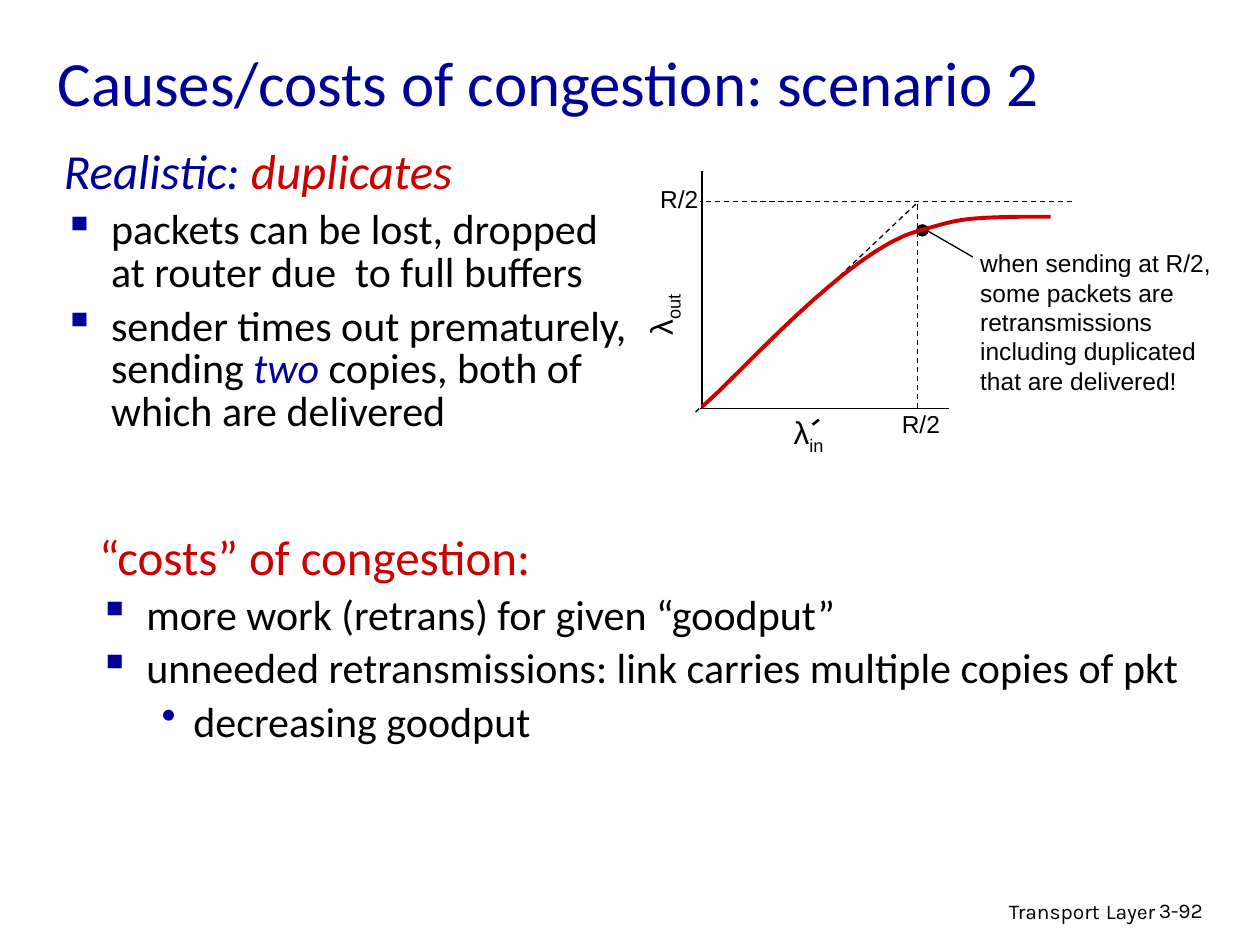
from dataclasses import dataclass
from typing import Any

import pptx
import pptx.dml.color
import pptx.enum.dml
import pptx.enum.shapes
import pptx.enum.text
import pptx.oxml
import pptx.oxml.ns
import pptx.util
from pptx.util import Cm

Point = tuple[float, float]


@dataclass(frozen=True)
class Theme:
    black: str = "000000"
    blue: str = "000099"
    red: str = "CC0000"
    body_font: str = "Calibri"
    chart_font: str = "Arial"
    footer_font: str = "Karla"
    title: int = 36
    title_end: int = 44
    heading: int = 28
    body: int = 24
    symbol: int = 18
    label: int = 14
    footer: int = 12
    thin: float = 0.75
    prime: float = 1.5
    curve: float = 2.25


THEME = Theme()


@dataclass(frozen=True)
class Span:
    text: str
    size: int = THEME.body
    color: str = THEME.black
    font: str = THEME.body_font
    italic: bool = False
    subscript: bool = False


@dataclass(frozen=True)
class Item:
    spans: list[Span]
    bullet: str = ""
    margin: float = 0.95
    hanging: float = 0.95


@dataclass(frozen=True)
class Line:
    start: Point
    end: Point
    width: float = THEME.thin
    dashed: bool = False
    arrow: bool = False


def rgb(color: str) -> pptx.dml.color.RGBColor:
    return pptx.dml.color.RGBColor.from_string(color)


def add_xml(parent: Any, xml: str) -> None:
    namespace = pptx.oxml.ns.nsdecls("a")
    parent.append(pptx.oxml.parse_xml(xml.replace("/>", f" {namespace}/>", 1)
                  if xml.count("<") == 1 else xml.replace(">", f" {namespace}>", 1)))


def write_spans(paragraph: Any, spans: list[Span]) -> None:
    for span in spans:
        run = paragraph.add_run()
        run.text = span.text
        run.font.size = pptx.util.Pt(span.size)
        run.font.name = span.font
        run.font.italic = span.italic
        run.font.color.rgb = rgb(span.color)
        if span.subscript:
            run.font._element.set("baseline", "-25000")


def add_text(shapes: Any, left: float, top: float, width: float, height: float,
             spans: list[Span], wrap: bool = True, grow: bool = False) -> Any:
    box = shapes.add_textbox(Cm(left), Cm(top), Cm(width), Cm(height))
    box.text_frame.word_wrap = wrap
    if grow:
        box.text_frame.auto_size = pptx.enum.text.MSO_AUTO_SIZE.SHAPE_TO_FIT_TEXT
    write_spans(box.text_frame.paragraphs[0], spans)
    return box


def add_list(shapes: Any, left: float, top: float, width: float, height: float,
             items: list[Item]) -> None:
    frame = add_text(shapes, left, top, width, height, []).text_frame
    for index, item in enumerate(items):
        paragraph = frame.add_paragraph() if index else frame.paragraphs[0]
        paragraph.line_spacing = 0.85
        if index:
            paragraph.space_before = pptx.util.Pt(6)
        properties = paragraph._p.get_or_add_pPr()
        properties.set("marL", str(Cm(item.margin)))
        properties.set("indent", str(-Cm(item.hanging)))
        if item.bullet:
            add_xml(properties, f'<a:buClr><a:srgbClr val="{THEME.blue}"/></a:buClr>')
            add_xml(properties, f'<a:buChar char="{item.bullet}"/>')
        write_spans(paragraph, item.spans)


def add_line(shapes: Any, line: Line) -> None:
    connector = shapes.add_connector(pptx.enum.shapes.MSO_CONNECTOR.STRAIGHT,
                                     *map(Cm, line.start + line.end))
    connector.line.color.rgb = rgb(THEME.black)
    connector.line.width = pptx.util.Pt(line.width)
    if line.dashed:
        connector.line.dash_style = pptx.enum.dml.MSO_LINE.DASH
    properties = connector.element.spPr
    if line.arrow:
        add_xml(properties.find(pptx.oxml.ns.qn("a:ln")), '<a:tailEnd type="triangle"/>')
    add_xml(properties, "<a:effectLst/>")


def bezier(points: list[Point], steps: int = 16) -> list[Point]:
    """Sample a cubic curve, leaving out its start."""
    samples = []
    for step in range(1, steps + 1):
        t = step / steps
        weights = ((1 - t) ** 3, 3 * t * (1 - t) ** 2, 3 * t ** 2 * (1 - t), t ** 3)
        samples.append(tuple(sum(w * p[axis] for w, p in zip(weights, points))
                             for axis in (0, 1)))
    return samples


def add_curve(shapes: Any, controls: list[Point], end: Point) -> None:
    points = [point for first in range(0, len(controls) - 1, 3)
              for point in bezier(controls[first:first + 4])] + [end]
    builder = shapes.build_freeform(*map(Cm, controls[0]))
    builder.add_line_segments([(Cm(x), Cm(y)) for x, y in points], close=False)
    curve = builder.convert_to_shape()
    curve.shadow.inherit = False
    curve.fill.background()
    curve.line.color.rgb = rgb(THEME.red)
    curve.line.width = pptx.util.Pt(THEME.curve)


def label(text: str, size: int = THEME.label, subscript: bool = False) -> Span:
    return Span(text, size, font=THEME.chart_font, subscript=subscript)


def symbol(index: str) -> list[Span]:
    return [label("λ", THEME.symbol), label(index, THEME.symbol, True)]


def add_graph(shapes: Any) -> None:
    # Axes, limits and ideal throughput
    for line in (Line((14.15, 3.45), (14.15, 8.23)),
                 Line((19.13, 8.23), (14.12, 8.23)),
                 Line((21.62, 4.06), (14.12, 4.06), dashed=True),
                 Line((14.02, 8.31), (18.52, 4.06), dashed=True)):
        add_line(shapes, line)
    for left, top in ((13.06, 3.58), (17.93, 8.13)):
        add_text(shapes, left, top, 1.27, 0.86, [label("R/2")], wrap=False, grow=True)
    add_text(shapes, 12.5, 5.59, 1.73, 1.12, symbol("out"), grow=True).rotation = 270

    # Operating point with its note
    marker = shapes.add_group_shape().shapes
    add_line(marker, Line((18.49, 8.23), (18.49, 4.11), dashed=True))
    dot = marker.add_shape(pptx.enum.shapes.MSO_SHAPE.OVAL,
                           Cm(18.47), Cm(4.52), Cm(0.25), Cm(0.25))
    dot.shadow.inherit = False
    dot.fill.solid()
    dot.fill.fore_color.rgb = rgb(THEME.black)
    dot.line.fill.background()
    add_text(marker, 19.51, 4.88, 5.23, 3.23, [label(
        "when sending at R/2, some packets are retransmissions "
        "including duplicated that are delivered!")], grow=True)
    add_line(marker, Line((19.61, 5.18), (18.52, 4.55), arrow=True))

    # Actual throughput
    add_curve(shapes, [(14.15, 8.2), (14.86, 7.62), (17.07, 5.05), (18.52, 4.65),
                       (19.3, 4.45), (19.25, 4.39), (20.6, 4.37)], (21.18, 4.37))

    # Offered load symbol with its prime mark
    load = shapes.add_group_shape().shapes
    add_text(load, 15.75, 8.2, 1.14, 1.12, symbol("in"), wrap=False, grow=True)
    add_line(load, Line((16.38, 8.56), (16.51, 8.46), THEME.prime))


def main() -> None:
    presentation = pptx.Presentation()
    presentation.slide_width, presentation.slide_height = Cm(25.4), Cm(19.05)
    slide = presentation.slides.add_slide(presentation.slide_layouts[6])
    shapes = slide.shapes

    # Footer
    footer = [Span(text, size, font=THEME.footer_font) for text, size in
              (("Transport", THEME.footer), (" ", THEME.label), ("Layer", THEME.footer))]
    box = add_text(shapes, 15.49, 17.91, 8.05, 0.79, footer)
    box.text_frame.paragraphs[0].alignment = pptx.enum.text.PP_ALIGN.RIGHT
    add_text(shapes, 23.11, 17.96, 1.88, 0.76,
             [Span("3-92", THEME.footer, font=THEME.footer_font)])

    add_graph(shapes)

    # Title
    title = add_text(shapes, 0.91, 0.33, 21.59, 2.41, [
        Span("Causes/costs of congestion: scenario 2", THEME.title, THEME.blue),
        Span(" ", THEME.title_end, THEME.blue)])
    title.text_frame.vertical_anchor = pptx.enum.text.MSO_ANCHOR.MIDDLE

    # Text lists
    add_list(shapes, 1.04, 2.9, 11.96, 5.33, [
        Item([Span("Realistic: ", THEME.heading, THEME.blue, italic=True),
              Span("duplicates", THEME.heading, THEME.red, italic=True)]),
        Item([Span("packets can be lost, dropped at router due  to full buffers")], "▪"),
        Item([Span("sender times out prematurely, sending "),
              Span("two ", color=THEME.blue, italic=True),
              Span("copies, both of which are delivered")], "▪")])
    add_list(shapes, 1.75, 10.67, 22.63, 2.74, [
        Item([Span("“costs” of congestion:", THEME.heading, THEME.red)]),
        Item([Span("more work (retrans) for given “goodput”")], "▪"),
        Item([Span("unneeded retransmissions: link carries multiple copies of pkt")], "▪"),
        Item([Span("decreasing goodput")], "•", 1.9, 0.64)])

    presentation.save("out.pptx")


if __name__ == "__main__":
    main()
